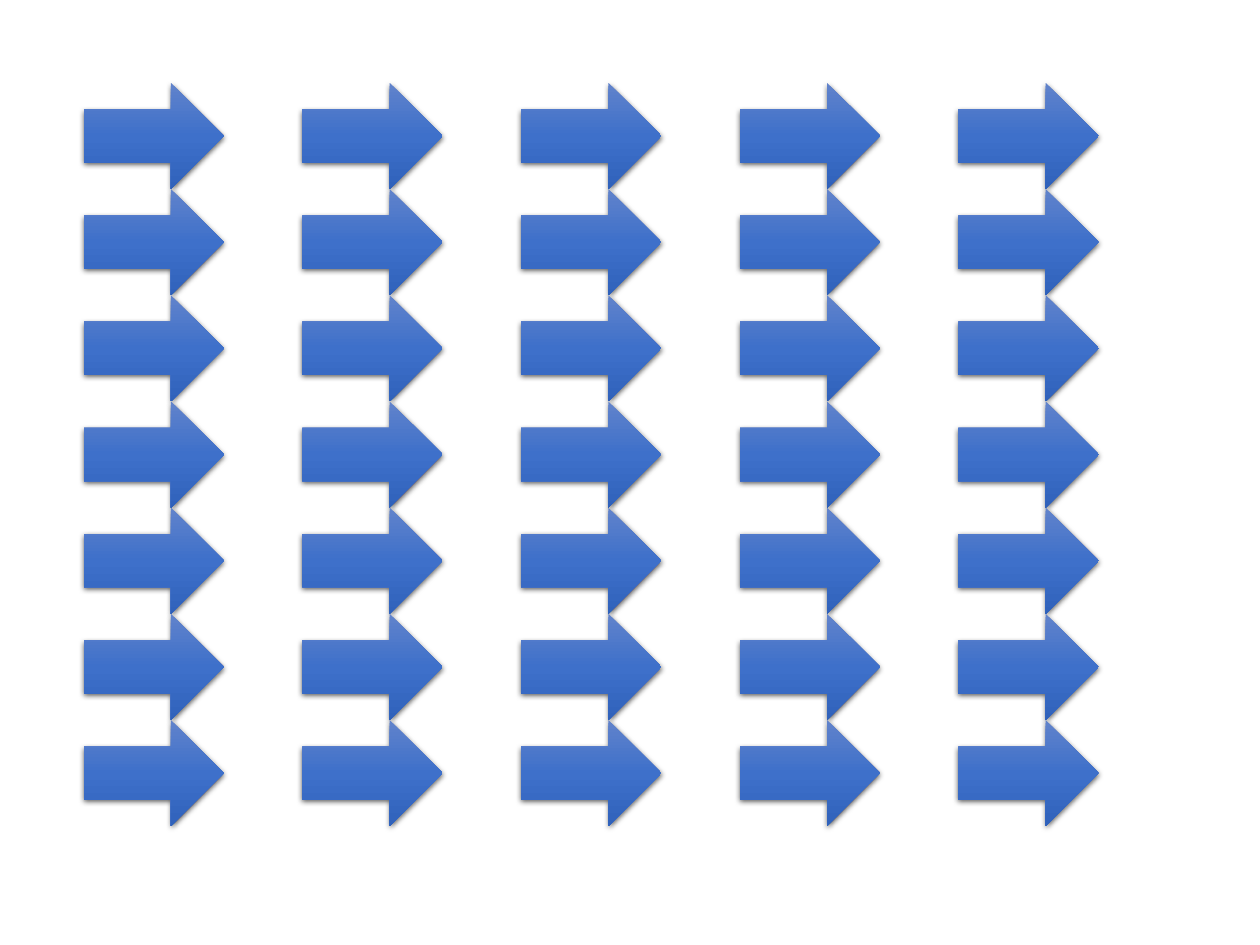
from itertools import product

from pptx import Presentation
from pptx.enum.shapes import MSO_SHAPE as SHAPE
from pptx.oxml import parse_xml
from pptx.oxml.ns import nsdecls
from pptx.util import Inches, Pt

COLORS = {"top": "6183CB", "middle": "3E70CA", "bottom": "3062BB", "shadow": "000000"}
COLS, ROWS = 5, 7
COL_STEP, ROW_STEP = 2.43, 1.18
ARROW_W = 1.56


def gradient_xml():
    stops = "".join(
        f'<a:gs pos="{pos * 1000}"><a:srgbClr val="{COLORS[name]}"/></a:gs>'
        for pos, name in ((0, "top"), (50, "middle"), (100, "bottom"))
    )
    return parse_xml(
        f'<a:gradFill {nsdecls("a")} rotWithShape="1"><a:gsLst>{stops}</a:gsLst>'
        '<a:lin ang="5400000" scaled="0"/></a:gradFill>'
    )


def shadow_xml():
    return parse_xml(
        f'<a:effectLst {nsdecls("a")}><a:outerShdw blurRad="{Pt(4.5)}" dist="{Pt(1.5)}" '
        f'dir="5400000" algn="ctr" rotWithShape="0"><a:srgbClr val="{COLORS["shadow"]}">'
        '<a:alpha val="63000"/></a:srgbClr></a:outerShdw></a:effectLst>'
    )


def add_arrow(s, x, y, w, h):
    sp = s.shapes.add_shape(SHAPE.RIGHT_ARROW, Inches(x), Inches(y), Inches(w), Inches(h))
    sp.line.fill.background()
    props = sp.element.spPr
    props.insert(2, gradient_xml())
    props.append(shadow_xml())


def add_arrow_grid(s, left, top):
    for row, col in product(range(ROWS), range(COLS)):
        add_arrow(s, left + col * COL_STEP, top + row * ROW_STEP, ARROW_W, ROW_STEP)


prs = Presentation()
prs.slide_width, prs.slide_height = Inches(14), Inches(10.5)
s = prs.slides.add_slide(prs.slide_layouts[6])
add_arrow_grid(s, 0.93, 0.92)
prs.save("out.pptx")
